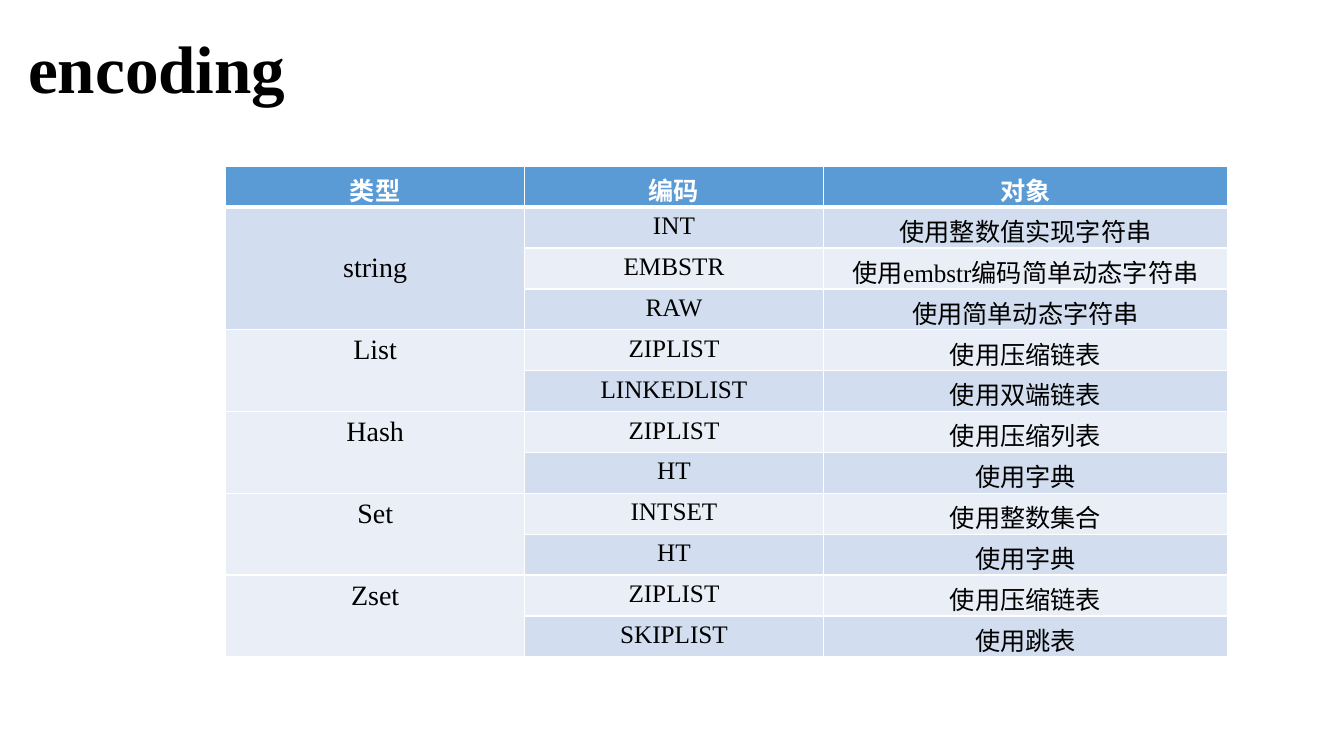
import dataclasses

import lxml.etree
import pptx
import pptx.dml.color
import pptx.enum.text
import pptx.oxml.ns
import pptx.shapes.autoshape
import pptx.slide
import pptx.table
import pptx.text.text
import pptx.util

Cm = pptx.util.Cm
HUES = {"head": "5B9BD5", "dark": "D2DEEF", "light": "EAEFF7", "white": "FFFFFF", "black": "000000"}
FONT = "Times New Roman"
HEADS = ("类型", "编码", "对象")
WIDTHS = (7.53, 7.53, 10.19)
ROW = 1.03


@dataclasses.dataclass(frozen=True)
class Group:
    name: str
    codes: tuple[tuple[str, str], ...]
    anchor: pptx.enum.text.MSO_ANCHOR = pptx.enum.text.MSO_ANCHOR.TOP


GROUPS = (
    Group(
        "string",
        (("INT", "使用整数值实现字符串"), ("EMBSTR", "使用embstr编码简单动态字符串"), ("RAW", "使用简单动态字符串")),
        pptx.enum.text.MSO_ANCHOR.MIDDLE,
    ),
    Group("List", (("ZIPLIST", "使用压缩链表"), ("LINKEDLIST", "使用双端链表"))),
    Group("Hash", (("ZIPLIST", "使用压缩列表"), ("HT", "使用字典"))),
    Group("Set", (("INTSET", "使用整数集合"), ("HT", "使用字典"))),
    Group("Zset", (("ZIPLIST", "使用压缩链表"), ("SKIPLIST", "使用跳表"))),
)


def color(hue: str) -> pptx.dml.color.RGBColor:
    return pptx.dml.color.RGBColor.from_string(HUES[hue])


def write(frame: pptx.text.text.TextFrame, text: str, size: int, hue: str, bold: bool) -> None:
    frame.text = text
    for run in frame.paragraphs[0].runs:
        run.font.name = FONT
        run.font.size = pptx.util.Pt(size)
        run.font.bold = bold
        run.font.color.rgb = color(hue)


def border(cell: pptx.table._Cell, base: int) -> None:
    props = cell._tc.get_or_add_tcPr()
    qn = pptx.oxml.ns.qn
    for spot, (side, width) in enumerate((("L", 1), ("R", 1), ("T", 1), ("B", base))):
        line = lxml.etree.Element(qn(f"a:ln{side}"), w=str(pptx.util.Pt(width)))
        fill = lxml.etree.SubElement(line, qn("a:solidFill"))
        lxml.etree.SubElement(fill, qn("a:srgbClr"), val=HUES["white"])
        props.insert(spot, line)


def put(cell: pptx.table._Cell, text: str, size: int = 18, hue: str = "black", bold: bool = False) -> None:
    write(cell.text_frame, text, size, hue, bold)
    cell.text_frame.paragraphs[0].alignment = pptx.enum.text.PP_ALIGN.CENTER


def title(slide: pptx.slide.Slide) -> None:
    box = slide.shapes.add_textbox(Cm(0.46), Cm(0.53), Cm(22.02), Cm(2.31))
    box.text_frame.word_wrap = True
    write(box.text_frame, "encoding", 48, "black", True)


def grid(slide: pptx.slide.Slide) -> None:
    count = 1 + sum(len(group.codes) for group in GROUPS)
    table = slide.shapes.add_table(
        count, len(HEADS), Cm(5.69), Cm(4.19), Cm(sum(WIDTHS)), Cm(ROW * count)
    ).table
    for col, width in zip(table.columns, WIDTHS):
        col.width = Cm(width)
    for index, row in enumerate(table.rows):
        row.height = Cm(ROW)
        band = "head" if index == 0 else "dark" if index % 2 else "light"
        for cell in row.cells:
            cell.fill.solid()
            cell.fill.fore_color.rgb = color(band)
            border(cell, 1 if index else 3)
    for col, head in enumerate(HEADS):
        put(table.cell(0, col), head, hue="white", bold=True)
    top = 1
    for group in GROUPS:
        first = table.cell(top, 0)
        first.merge(table.cell(top + len(group.codes) - 1, 0))
        first.vertical_anchor = group.anchor
        put(first, group.name, size=20)
        for index, (code, note) in enumerate(group.codes, top):
            put(table.cell(index, 1), code)
            put(table.cell(index, 2), note)
        top += len(group.codes)


def main() -> None:
    """Build the slide on type encodings and save it."""
    deck = pptx.Presentation()
    deck.slide_width, deck.slide_height = Cm(33.87), Cm(19.05)
    slide = deck.slides.add_slide(deck.slide_layouts[6])
    title(slide)
    grid(slide)
    deck.save("out.pptx")


if __name__ == "__main__":
    main()
